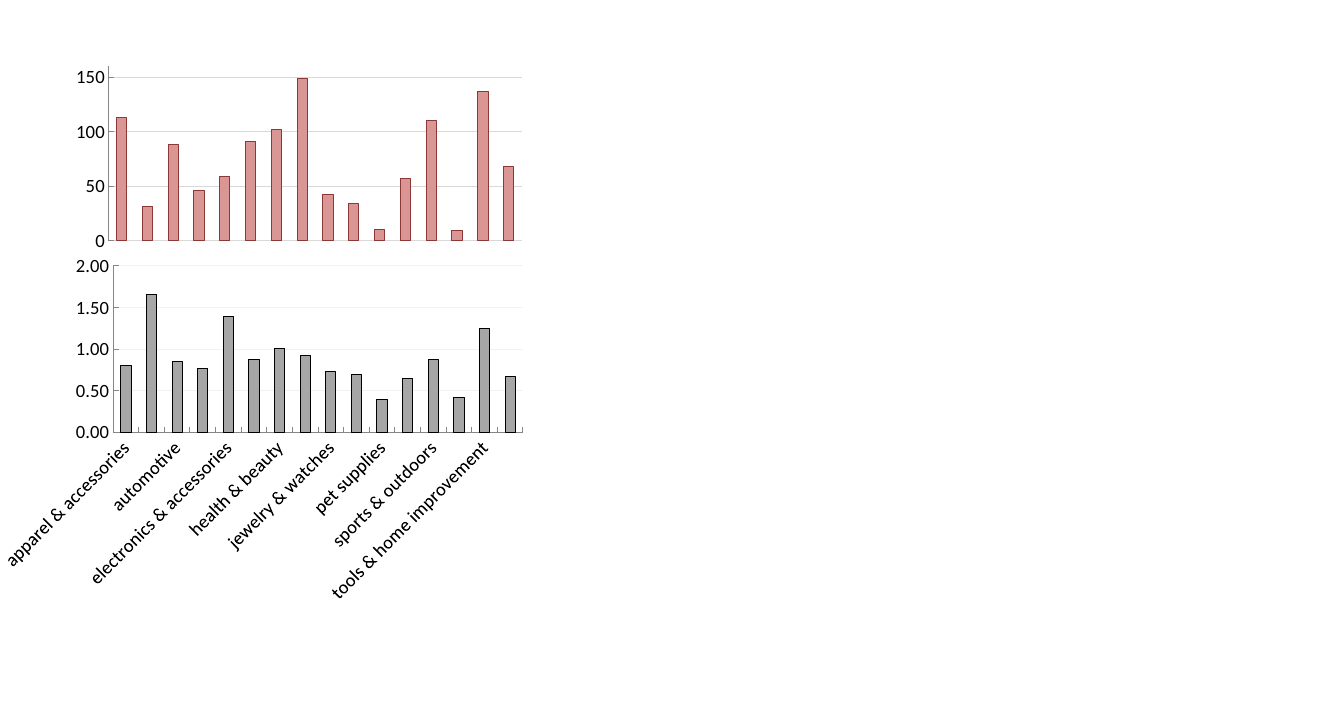
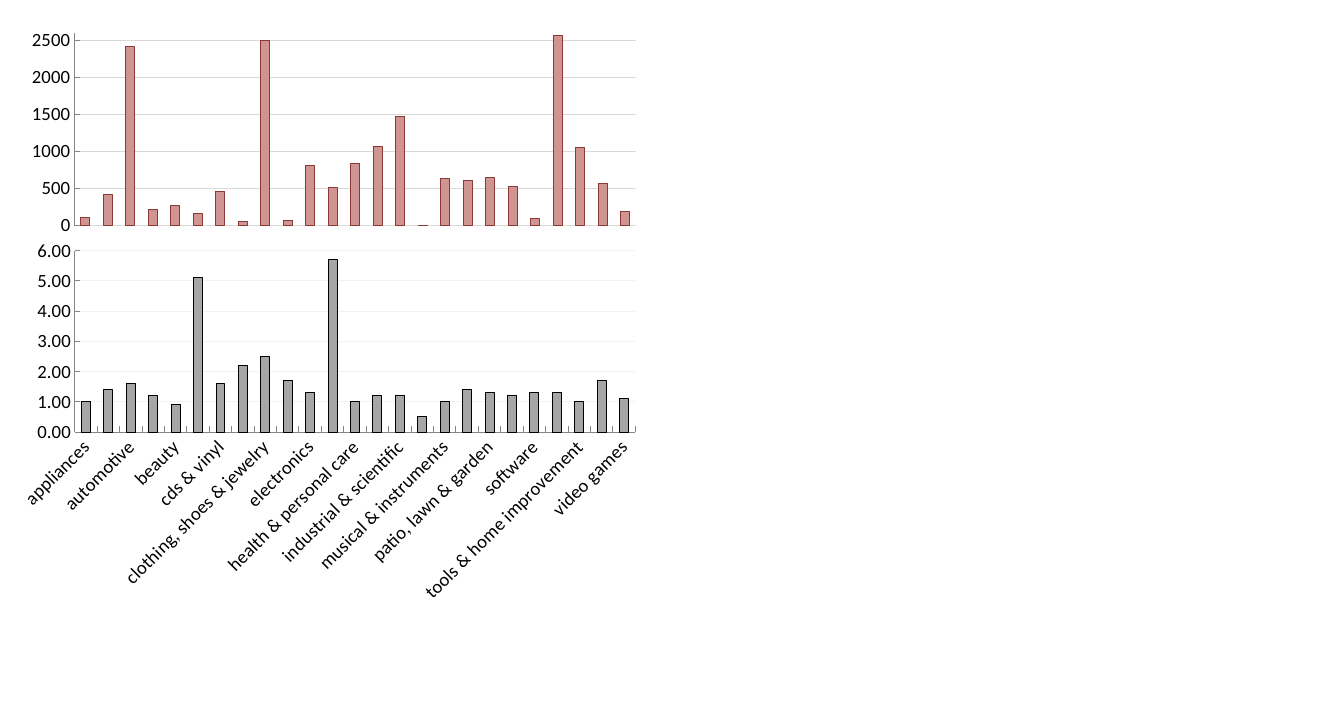
from dataclasses import dataclass

from lxml import etree
from pptx import Presentation
from pptx.chart.data import CategoryChartData
from pptx.dml.color import RGBColor
from pptx.enum.chart import XL_CHART_TYPE, XL_TICK_MARK
from pptx.oxml.ns import qn
from pptx.util import Inches, Pt

COLUMNS = XL_CHART_TYPE.COLUMN_CLUSTERED
INSIDE, NO_TICK = XL_TICK_MARK.INSIDE, XL_TICK_MARK.NONE


@dataclass(frozen=True)
class Theme:
    font: str = "Calibri"
    base_size: int = 10
    label_size: int = 14
    text: str = "000000"
    axis: str = "868686"
    count_grid: str = "D9D9D9"
    ratio_grid: str = "F2F2F2"
    count_line: str = "8C3836"
    ratio_fill: str = "A6A6A6"
    ratio_line: str = "000000"
    hairline: float = 0.75


T = Theme()


def set_line(line, color):
    line.color.rgb = RGBColor.from_string(color)
    line.width = Pt(T.hairline)


def add_columns(slide, box, plot, cats, vals, *, fill, line, grid, top, step,
                fmt="General", labels=True):
    data = CategoryChartData(number_format=fmt)
    data.categories = cats
    data.add_series("Series 1", vals)
    chart = slide.shapes.add_chart(COLUMNS, *map(Inches, box), data).chart
    chart.has_legend = chart.has_title = False
    chart.font.name, chart.font.size = T.font, Pt(T.base_size)
    chart.font.color.rgb = RGBColor.from_string(T.text)

    # Columns
    bars = chart.plots[0]
    bars.gap_width, bars.vary_by_categories = 150, False
    fmt_bar = bars.series[0].format
    fmt_bar.fill.solid()
    fmt_bar.fill.fore_color.rgb = RGBColor.from_string(fill)
    set_line(fmt_bar.line, line)

    # Axes
    for axis in (chart.category_axis, chart.value_axis):
        axis.major_tick_mark, axis.minor_tick_mark = INSIDE, NO_TICK
        axis.tick_labels.font.size = Pt(T.label_size)
        set_line(axis.format.line, T.axis)
    axis.minimum_scale, axis.maximum_scale, axis.major_unit = 0, top, step
    axis.tick_labels.number_format = fmt
    axis.tick_labels.number_format_is_linked = False
    axis.has_major_gridlines = True
    set_line(axis.major_gridlines.format.line, grid)
    chart.category_axis.visible = labels
    if labels:
        chart.element.xpath(".//c:catAx/c:txPr/a:bodyPr")[0].set("rot", "-2700000")

    # Inner plot area, as shares of the chart
    area = chart.element.xpath(".//c:plotArea")[0]
    for old in area.findall(qn("c:layout")):
        area.remove(old)
    layout = etree.Element(qn("c:layout"))
    manual = etree.SubElement(layout, qn("c:manualLayout"))
    settings = [("layoutTarget", "inner"), ("xMode", "edge"), ("yMode", "edge"),
                *zip("xywh", plot)]
    for tag, val in settings:
        etree.SubElement(manual, qn(f"c:{tag}"), val=str(val))
    area.insert(0, layout)


# Data of each slide: counts above, ratios with category names below
SLIDES = [
    dict(
        cats=["apparel & accessories", "appliances", "automotive", "baby products",
              "electronics & accessories", "grocery & gourmet food",
              "health & beauty", "home & kitchen", "jewelry & watches",
              "office products", "pet supplies", "shoes", "sports & outdoors",
              "tickets & events", "tools & home improvement", "toys & games"],
        counts=[113, 31, 88, 46, 59, 91, 102, 149, 42, 34, 10, 57, 110, 9, 137, 68],
        ratios=[0.8, 1.66, 0.85, 0.77, 1.39, 0.88, 1.01, 0.92, 0.73, 0.7, 0.39,
                0.65, 0.88, 0.42, 1.25, 0.67],
        count_box=(0, 0.07, 5.9, 4.44), count_plot=(0.192, 0.14, 0.729, 0.409),
        ratio_box=(0, 2.62, 5.9, 4.17), ratio_plot=(0.195, 0.036, 0.728, 0.416),
        count_scale=dict(top=160, step=50), ratio_scale=dict(top=2, step=0.5),
        count_fill="D99694",
    ),
    dict(
        cats=["appliances", "arts, crafts & sewing", "automotive", "baby products",
              "beauty", "books", "cds & vinyl", "cell phones & accessories",
              "clothing, shoes & jewelry", "collectibles & fine art",
              "electronics", "grocery & gourmet food", "health & personal care",
              "home & kitchen", "industrial & scientific", "movies & tv",
              "musical & instruments", "office products", "patio, lawn & garden",
              "pet supplies", "software", "sports & outdoors",
              "tools & home improvement", "toys & games", "video games"],
        counts=[110, 420, 2410, 210, 270, 160, 460, 50, 2500, 60, 810, 510, 840,
                1060, 1470, 0, 630, 610, 640, 520, 90, 2560, 1050, 560, 190],
        ratios=[1, 1.4, 1.6, 1.2, 0.9, 5.1, 1.6, 2.2, 2.5, 1.7, 1.3, 5.7, 1, 1.2,
                1.2, 0.5, 1, 1.4, 1.3, 1.2, 1.3, 1.3, 1, 1.7, 1.1],
        count_box=(0, 0.01, 6.78, 4.9), count_plot=(0.114, 0.068, 0.864, 0.409),
        ratio_box=(0, 2.49, 6.83, 4.54), ratio_plot=(0.114, 0.027, 0.855, 0.416),
        count_scale=dict(top=2600, step=500), ratio_scale=dict(top=6, step=1),
        count_fill="D09492",
    ),
]

prs = Presentation()
prs.slide_width, prs.slide_height = Inches(14), Inches(7.5)
blank = prs.slide_layouts[6]

for d in SLIDES:
    s = prs.slides.add_slide(blank)
    numbers = [str(i) for i in range(1, len(d["cats"]) + 1)]
    add_columns(s, d["count_box"], d["count_plot"], numbers, d["counts"],
                fill=d["count_fill"], line=T.count_line, grid=T.count_grid,
                labels=False, **d["count_scale"])
    add_columns(s, d["ratio_box"], d["ratio_plot"], d["cats"], d["ratios"],
                fill=T.ratio_fill, line=T.ratio_line, grid=T.ratio_grid,
                fmt="0.00", **d["ratio_scale"])

prs.save("out.pptx")
